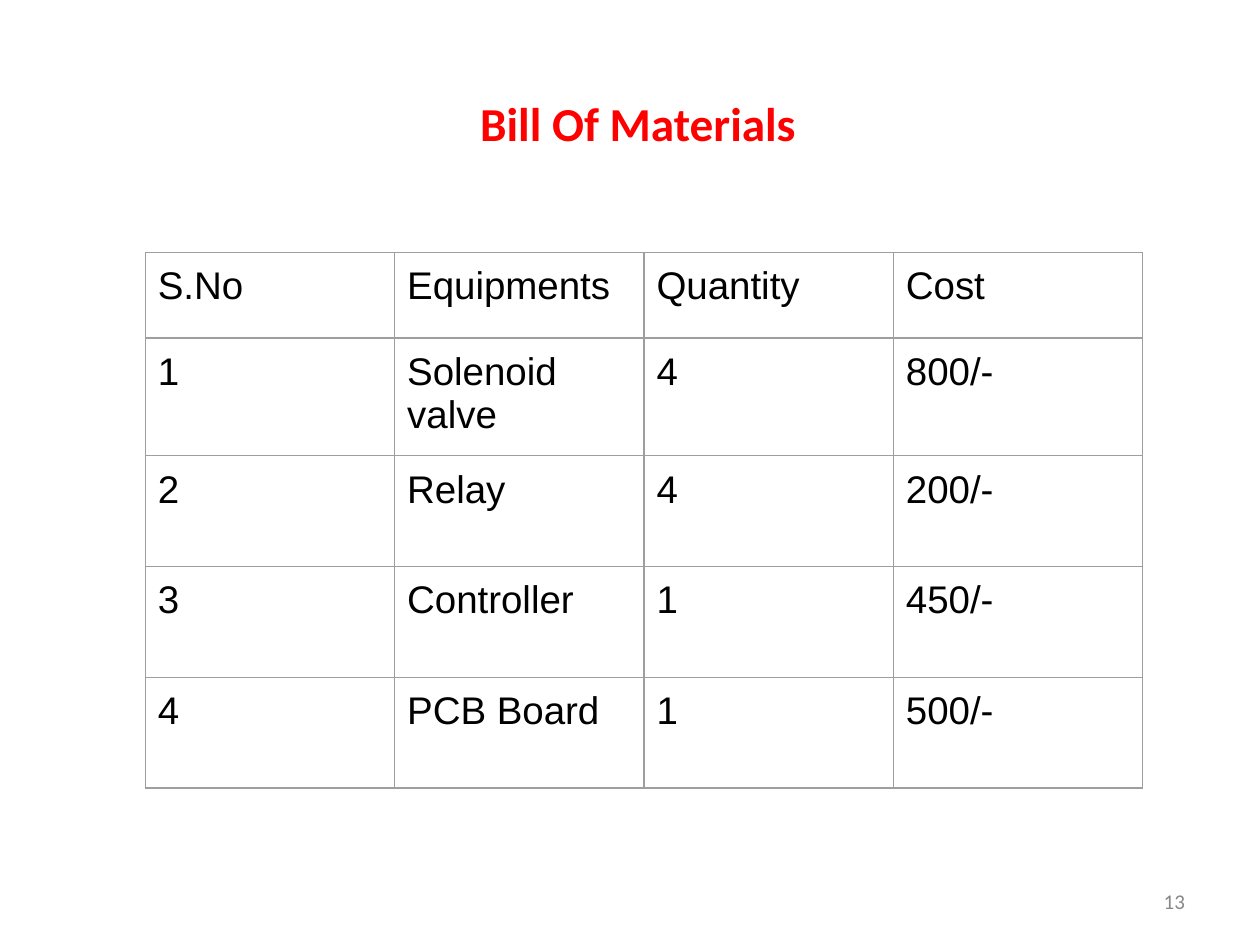
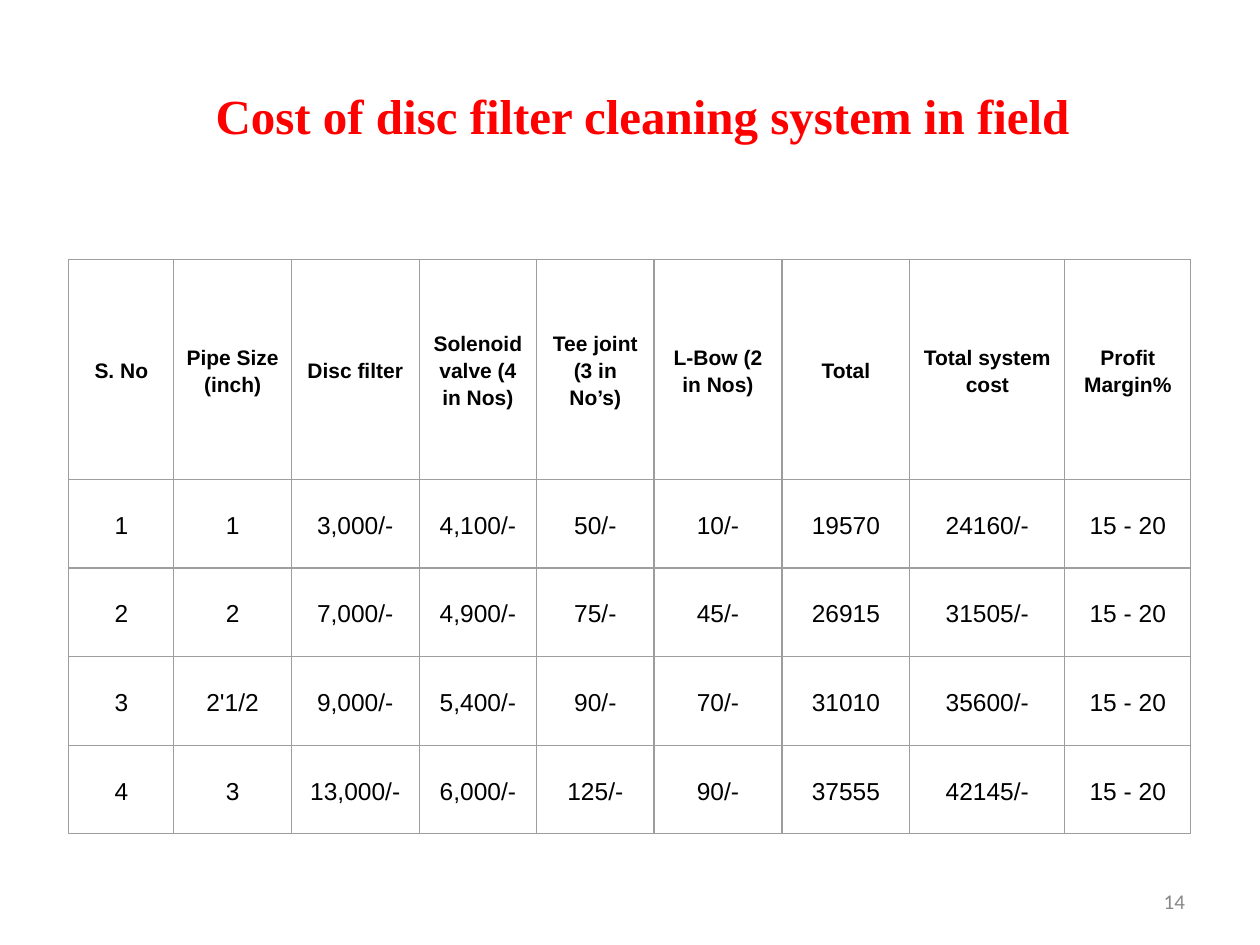
from lxml import etree
from pptx import Presentation
from pptx.dml.color import RGBColor
from pptx.enum import text as t
from pptx.oxml import ns
from pptx.util import Pt

RED = RGBColor(0xFF, 0x00, 0x00)
BLACK = RGBColor(0x00, 0x00, 0x00)
GREY = RGBColor(0x88, 0x88, 0x88)
RULE = RGBColor(0x9E, 0x9E, 0x9E)
RULE_WIDTH = Pt(0.75)
LEFT, CENTER, RIGHT = t.PP_ALIGN.LEFT, t.PP_ALIGN.CENTER, t.PP_ALIGN.RIGHT
TOP, MIDDLE = t.MSO_ANCHOR.TOP, t.MSO_ANCHOR.MIDDLE

MATERIALS = [
    ["S.No", "Equipments", "Quantity", "Cost"],
    ["1", "Solenoid valve", "4", "800/-"],
    ["2", "Relay", "4", "200/-"],
    ["3", "Controller", "1", "450/-"],
    ["4", "PCB Board", "1", "500/-"],
]
MARGIN = "15 - 20"
FIELD_COSTS = [
    ["S. No", "Pipe Size (inch)", "Disc filter", "Solenoid valve (4 in Nos)",
     "Tee joint (3 in No’s)", "L-Bow (2 in Nos)", "Total",
     "Total system cost", "Profit Margin%"],
    ["1", "1", "3,000/-", "4,100/-", "50/-", "10/-", "19570", "24160/-", MARGIN],
    ["2", "2", "7,000/-", "4,900/-", "75/-", "45/-", "26915", "31505/-", MARGIN],
    ["3", "2'1/2", "9,000/-", "5,400/-", "90/-", "70/-", "31010", "35600/-", MARGIN],
    ["4", "3", "13,000/-", "6,000/-", "125/-", "90/-", "37555", "42145/-", MARGIN],
]


def write(frame, content, *, size, font, color=BLACK, bold=False, align=LEFT,
          spacing=None, after=None):
    paragraph = frame.paragraphs[0]
    paragraph.alignment = align
    if spacing:
        paragraph.line_spacing = spacing
    if after:
        paragraph.space_after = Pt(after)
    run = paragraph.add_run()
    run.text = content
    run.font.size = Pt(size)
    run.font.name = font
    run.font.bold = bold
    run.font.color.rgb = color


def set_margins(holder, side, edge):
    holder.margin_left = holder.margin_right = Pt(side)
    holder.margin_top = holder.margin_bottom = Pt(edge)


def add_label(slide, box, content, *, edge=3.6, anchor=TOP, **style):
    frame = slide.shapes.add_textbox(*map(Pt, box)).text_frame
    frame.word_wrap = True
    frame.vertical_anchor = anchor
    set_margins(frame, 7.2, edge)
    write(frame, content, **style)


def add_title(slide, box, content, **style):
    add_label(slide, box, content, color=RED, bold=True, **style)


def add_page_number(slide, number):
    add_label(slide, (516.2, 500.5, 168, 28.8), str(number), anchor=MIDDLE,
              size=12, font="Calibri", color=GREY, align=RIGHT)


def rule_cell(cell):
    properties = cell._tc.get_or_add_tcPr()
    for side in ("a:lnL", "a:lnR", "a:lnT", "a:lnB"):
        line = etree.SubElement(properties, ns.qn(side), w=str(RULE_WIDTH))
        fill = etree.SubElement(line, ns.qn("a:solidFill"))
        etree.SubElement(fill, ns.qn("a:srgbClr"), val=str(RULE))


def add_grid(slide, left, top, widths, heights, rows, *, margins,
             anchor=TOP, header=None, **style):
    box = map(Pt, (left, top, sum(widths), sum(heights)))
    grid = slide.shapes.add_table(len(rows), len(widths), *box).table
    grid.first_row = grid.horz_banding = False
    for column, width in zip(grid.columns, widths):
        column.width = Pt(width)
    for r, (entries, height) in enumerate(zip(rows, heights)):
        grid.rows[r].height = Pt(height)
        row_style = {**style, **(header or {})} if r == 0 else style
        for c, entry in enumerate(entries):
            cell = grid.cell(r, c)
            rule_cell(cell)
            cell.fill.background()
            cell.vertical_anchor = anchor
            set_margins(cell, *margins)
            write(cell.text_frame, entry, font="Arial", **row_style)


def add_materials(slide):
    add_page_number(slide, 13)
    add_title(slide, (267.3, 46.8, 201, 47.5), "Bill Of Materials",
              edge=7.2, size=27, font="Calibri")
    add_grid(slide, 83, 144.2, [142.5] * 4, [49] + [63.3] * 4, MATERIALS,
             margins=(7.2, 7.2), size=22)


def add_field_costs(slide):
    add_page_number(slide, 14)
    widths = [60.1, 67.1, 73.1, 67.1, 67.1, 73.1, 73.1, 88.6, 72]
    add_grid(slide, 39.3, 148.5, widths, [125.5] + [50.6] * 4, FIELD_COSTS,
             margins=(5, 0), anchor=MIDDLE, header={"size": 12, "bold": True},
             size=14, align=CENTER, spacing=1.15, after=10)
    add_title(slide, (54, 45.4, 626.4, 41), "Cost of disc filter cleaning system in field",
              size=28, font="Times New Roman", align=CENTER)


def main():
    deck = Presentation()
    deck.slide_width, deck.slide_height = Pt(720), Pt(540)
    blank = deck.slide_layouts[6]
    for build in (add_materials, add_field_costs):
        build(deck.slides.add_slide(blank))
    deck.save("out.pptx")


main()
